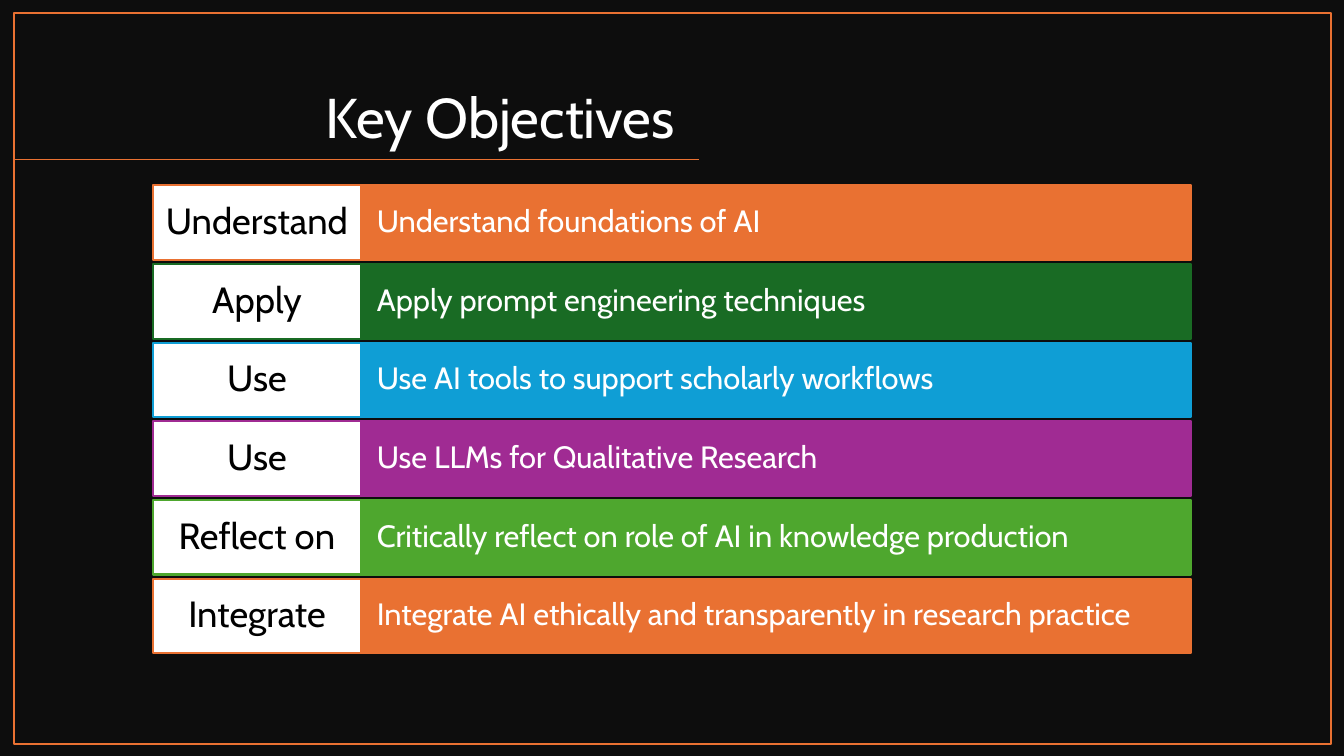
from lxml import etree
from pptx import Presentation
from pptx.dml.color import RGBColor
from pptx.enum import shapes, text
from pptx.oxml import ns
from pptx.util import Inches, Pt

FONT = "Cabin"
WHITE = RGBColor(0xFF, 0xFF, 0xFF)
BLACK = RGBColor(0x00, 0x00, 0x00)
NIGHT = RGBColor(0x0D, 0x0D, 0x0D)
ORANGE = RGBColor(0xE9, 0x71, 0x32)
FOREST = RGBColor(0x19, 0x6B, 0x24)
BLUE = RGBColor(0x0F, 0x9E, 0xD5)
PURPLE = RGBColor(0xA0, 0x2B, 0x93)
GREEN = RGBColor(0x4E, 0xA7, 0x2E)

OBJECTIVES = [
    ("Understand", "Understand foundations of AI", ORANGE),
    ("Apply", "Apply prompt engineering techniques", FOREST),
    ("Use", "Use AI tools to support scholarly workflows", BLUE),
    ("Use", "Use LLMs for Qualitative Research", PURPLE),
    ("Reflect on", "Critically reflect on role of AI in knowledge production", GREEN),
    ("Integrate", "Integrate AI ethically and transparently in research practice", ORANGE),
]


def write(frame, words, size, color, align, anchor, insets):
    """Fill a text frame with one paragraph; insets are left, top, right, bottom."""
    frame.word_wrap = True
    frame.vertical_anchor = anchor
    (frame.margin_left, frame.margin_top,
     frame.margin_right, frame.margin_bottom) = map(Inches, insets)
    line = frame.paragraphs[0]
    line.text = words
    line.alignment = align
    line.line_spacing = 0.9
    line.font.name = FONT
    line.font.size = Pt(size)
    line.font.color.rgb = color


def add_rect(slide, left, top, width, height, fill, outline, weight):
    rect = slide.shapes.add_shape(
        shapes.MSO_SHAPE.RECTANGLE,
        Inches(left), Inches(top), Inches(width), Inches(height))
    rect.shadow.inherit = False
    if fill is None:
        rect.fill.background()
    else:
        rect.fill.solid()
        rect.fill.fore_color.rgb = fill
    rect.line.color.rgb = outline
    rect.line.width = Pt(weight)
    return rect


def add_heading(slide, left, top, width, height, rule_left):
    """Right-aligned title with a rule running under it from the frame."""
    title = slide.shapes.add_textbox(
        Inches(left), Inches(top), Inches(width), Inches(height))
    write(title.text_frame, "Key Objectives", 40, WHITE, text.PP_ALIGN.RIGHT,
          text.MSO_ANCHOR.BOTTOM, (0.1, 0.05, 0.24, 0.05))
    rule_top = Inches(top + height + 0.04)
    rule = slide.shapes.add_connector(
        shapes.MSO_CONNECTOR.STRAIGHT,
        Inches(left + width), rule_top, Inches(rule_left), rule_top)
    rule.line.color.rgb = ORANGE
    rule.line.width = Pt(1)
    etree.SubElement(rule._element.spPr, ns.qn("a:effectLst"))


def add_objectives(slide, left, top, width, row_height, pitch):
    """One row per objective: a white verb cell and a coloured description."""
    verb_width = width / 5
    for row, (verb, description, color) in enumerate(OBJECTIVES):
        row_top = top + row * pitch
        bar = add_rect(slide, left + verb_width, row_top, width - verb_width,
                       row_height, color, color, 1.5)
        write(bar.text_frame, description, 22, WHITE, text.PP_ALIGN.LEFT,
              text.MSO_ANCHOR.MIDDLE, (0.16, 0.19, 0.16, 0.19))
        cell = add_rect(slide, left, row_top, verb_width, row_height,
                        WHITE, color, 1.5)
        write(cell.text_frame, verb, 26, BLACK, text.PP_ALIGN.CENTER,
              text.MSO_ANCHOR.MIDDLE, (0.11, 0.07, 0.11, 0.07))


def main():
    deck = Presentation()
    deck.slide_width, deck.slide_height = Inches(13.33), Inches(7.5)
    slide = deck.slides.add_slide(deck.slide_layouts[6])

    # Dark background
    slide.background.fill.solid()
    slide.background.fill.fore_color.rgb = NIGHT

    # Title, frame and objectives
    add_heading(slide, 0.92, 0.42, 6.01, 1.12, rule_left=0.14)
    add_rect(slide, 0.14, 0.13, 13.06, 7.25, None, ORANGE, 1)
    add_objectives(slide, 1.52, 1.84, 10.29, row_height=0.74, pitch=0.78)

    deck.save("out.pptx")


if __name__ == "__main__":
    main()
